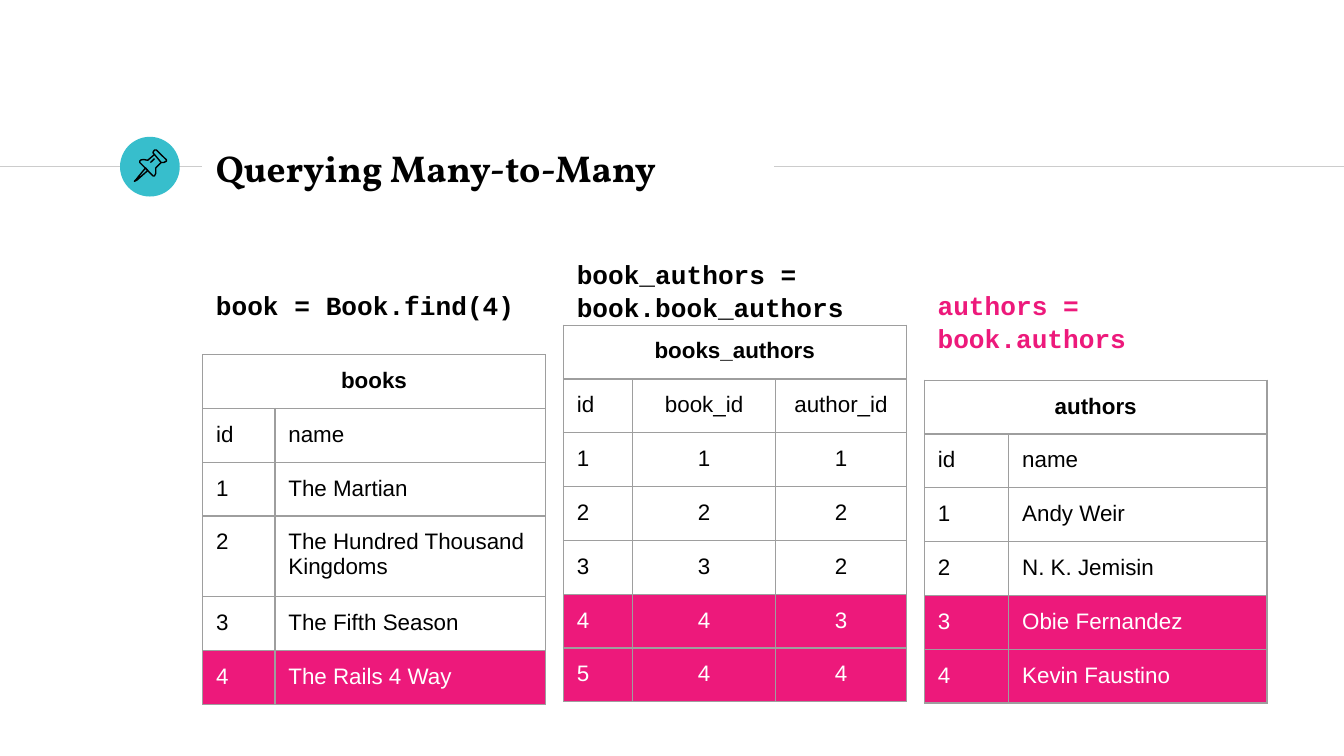
"""Build the slide that queries a many-to-many relation of books and authors."""
from typing import NamedTuple

from lxml.etree import SubElement
from pptx import Presentation
from pptx.dml.color import RGBColor
from pptx.enum.shapes import MSO_CONNECTOR as Link, MSO_SHAPE as Form
from pptx.enum.text import MSO_ANCHOR as Anchor, PP_ALIGN as Align
from pptx.oxml import parse_xml
from pptx.oxml.ns import nsdecls, qn
from pptx.util import Pt

BLACK = RGBColor(0x00, 0x00, 0x00)
WHITE = RGBColor(0xFF, 0xFF, 0xFF)
PINK = RGBColor(0xED, 0x19, 0x7B)
TEAL = RGBColor(0x37, 0xBE, 0xCC)
PALE = RGBColor(0xCC, 0xCC, 0xCC)
GREY = RGBColor(0x9E, 0x9E, 0x9E)

LEFT, PITCH, WIDTH = 108.6, 193.3, 183.6
PAD = 7.2
LINE = 0.75
RULE_Y = 89.3
ROW = 28


class Panel(NamedTuple):
    """A query with the table it reads."""
    query: str
    query_y: float
    ink: RGBColor
    name: str
    top: float
    cols: tuple
    heights: tuple
    rows: tuple
    hits: tuple
    align: Align


class Path(NamedTuple):
    """An outline through points."""
    points: tuple
    closed: bool


PANELS = (
    Panel("book = Book.find(4)", 146.9, BLACK, "books", 190, (38.7, 144.9),
          (ROW, ROW, ROW, 41.5, ROW, ROW),
          (("id", "name"), ("1", "The Martian"), ("2", "The Hundred Thousand Kingdoms"),
           ("3", "The Fifth Season"), ("4", "The Rails 4 Way")),
          ("4",), Align.LEFT),
    Panel("book_authors = book.book_authors", 130.3, BLACK, "books_authors", 174.2,
          (36.9, 76.9, 69.8), (ROW, ROW) + (28.8,) * 5,
          (("id", "book_id", "author_id"), ("1", "1", "1"), ("2", "2", "2"),
           ("3", "3", "2"), ("4", "4", "3"), ("5", "4", "4")),
          ("4", "5"), Align.CENTER),
    Panel("authors = book.authors", 146.9, PINK, "authors", 203.7, (45.2, 138.4),
          (ROW,) * 6,
          (("id", "name"), ("1", "Andy Weir"), ("2", "N. K. Jemisin"),
           ("3", "Obie Fernandez"), ("4", "Kevin Faustino")),
          ("3", "4"), Align.LEFT),
)

PIN = (
    Path(((78, 90), (72.7, 96.5), (72, 97.2), (73.4, 96.5), (79.2, 91.4)), True),
    Path(((82.8, 82.8), (86.4, 87.1), (87.8, 87.1), (89.2, 86.4), (89.2, 85.7),
          (83.8, 80.4), (82.8, 80.4), (82.1, 81.4), (82.1, 82.1)), True),
    Path(((82.8, 82.8), (79.2, 85.9), (77, 85.5), (75.6, 85.7), (74.9, 86.4),
          (74.9, 87.1), (82.1, 94.3), (82.8, 94.3), (83.5, 92.9), (83.5, 90),
          (86.4, 87.1)), False),
)


def write(frame, text: str, *, font: str, size: float, color: RGBColor,
          bold: bool = False, align: Align = Align.LEFT, space: float = 1) -> None:
    """Put formatted text in a frame."""
    para = frame.paragraphs[0]
    para.alignment = align
    para.line_spacing = space
    run = para.add_run()
    run.text = text
    face = run.font
    face.name, face.size, face.bold = font, Pt(size), bold
    face.color.rgb = color


def add_box(slide, x: float, y: float, w: float, h: float, text: str,
            anchor: Anchor = Anchor.TOP, **style) -> None:
    """Add a wrapped text box."""
    frame = slide.shapes.add_textbox(Pt(x), Pt(y), Pt(w), Pt(h)).text_frame
    frame.word_wrap = True
    frame.vertical_anchor = anchor
    frame.margin_left = frame.margin_right = Pt(PAD)
    frame.margin_top = frame.margin_bottom = Pt(PAD)
    write(frame, text, **style)


def add_line(slide, start: tuple, end: tuple, color: RGBColor) -> None:
    """Add a straight line without shadow."""
    line = slide.shapes.add_connector(
        Link.STRAIGHT, *(Pt(v) for v in start + end))
    line.line.color.rgb = color
    line.line.width = Pt(LINE)
    SubElement(line._element.spPr, qn("a:effectLst"))


def add_path(slide, path: Path) -> None:
    """Add an unfilled black outline."""
    first, *rest = [(Pt(x), Pt(y)) for x, y in path.points]
    pen = slide.shapes.build_freeform(*first, scale=1.0)
    pen.add_line_segments(rest, close=path.closed)
    shape = pen.convert_to_shape()
    shape.shadow.inherit = False
    shape.fill.background()
    shape.line.color.rgb = BLACK
    shape.line.width = Pt(LINE)


def add_edges(cell) -> None:
    """Give a cell four thin grey borders."""
    props = cell._tc.get_or_add_tcPr()
    for i, side in enumerate("LRTB"):
        props.insert(i, parse_xml(
            f'<a:ln{side} {nsdecls("a")} w="{Pt(LINE)}"><a:solidFill>'
            f'<a:srgbClr val="{GREY}"/></a:solidFill></a:ln{side}>'))


def add_grid(slide, x: float, panel: Panel) -> None:
    """Add the table of a panel."""
    count = len(panel.cols)
    grid = slide.shapes.add_table(
        len(panel.heights), count, Pt(x), Pt(panel.top),
        Pt(WIDTH), Pt(sum(panel.heights))).table
    grid.first_row = grid.horz_banding = False
    for col, width in zip(grid.columns, panel.cols):
        col.width = Pt(width)
    for row, height in zip(grid.rows, panel.heights):
        row.height = Pt(height)
    grid.cell(0, 0).merge(grid.cell(0, count - 1))
    for cell in grid.iter_cells():
        cell.margin_left = cell.margin_right = Pt(PAD)
        cell.margin_top = cell.margin_bottom = Pt(PAD)
        cell.fill.background()
        add_edges(cell)
    write(grid.cell(0, 0).text_frame, panel.name, font="Arial", size=12,
          color=BLACK, bold=True, align=Align.CENTER)
    for r, texts in enumerate(panel.rows, 1):
        hit = texts[0] in panel.hits
        for c, text in enumerate(texts):
            cell = grid.cell(r, c)
            if hit:
                cell.fill.solid()
                cell.fill.fore_color.rgb = PINK
            write(cell.text_frame, text, font="Arial", size=12,
                  color=WHITE if hit else BLACK,
                  align=panel.align if c else Align.LEFT)


def main() -> None:
    """Draw and save the slide."""
    deck = Presentation()
    deck.slide_width, deck.slide_height = Pt(720), Pt(405)
    slide = deck.slides.add_slide(deck.slide_layouts[6])
    add_line(slide, (0, RULE_Y), (108, RULE_Y), PALE)
    disc = slide.shapes.add_shape(Form.OVAL, Pt(64.3), Pt(73.3), Pt(32), Pt(32))
    disc.shadow.inherit = False
    disc.fill.solid()
    disc.fill.fore_color.rgb = TEAL
    disc.line.fill.background()
    add_line(slide, (414.7, RULE_Y), (720, RULE_Y), PALE)
    add_box(slide, LEFT, 72.7, 305.3, 34.6, "Querying Many-to-Many", Anchor.MIDDLE,
            font="Vollkorn", size=20, color=BLACK, bold=True)
    for path in PIN:
        add_path(slide, path)
    add_line(slide, (80.6, 87.1), (82.8, 85), BLACK)
    for i, panel in enumerate(PANELS):
        x = LEFT + PITCH * i
        add_box(slide, x, panel.query_y, WIDTH, 375.8 - panel.query_y, panel.query,
                font="Courier New", size=14, color=panel.ink, bold=True, space=1.05)
        add_grid(slide, x, panel)
    deck.save("out.pptx")


if __name__ == "__main__":
    main()
